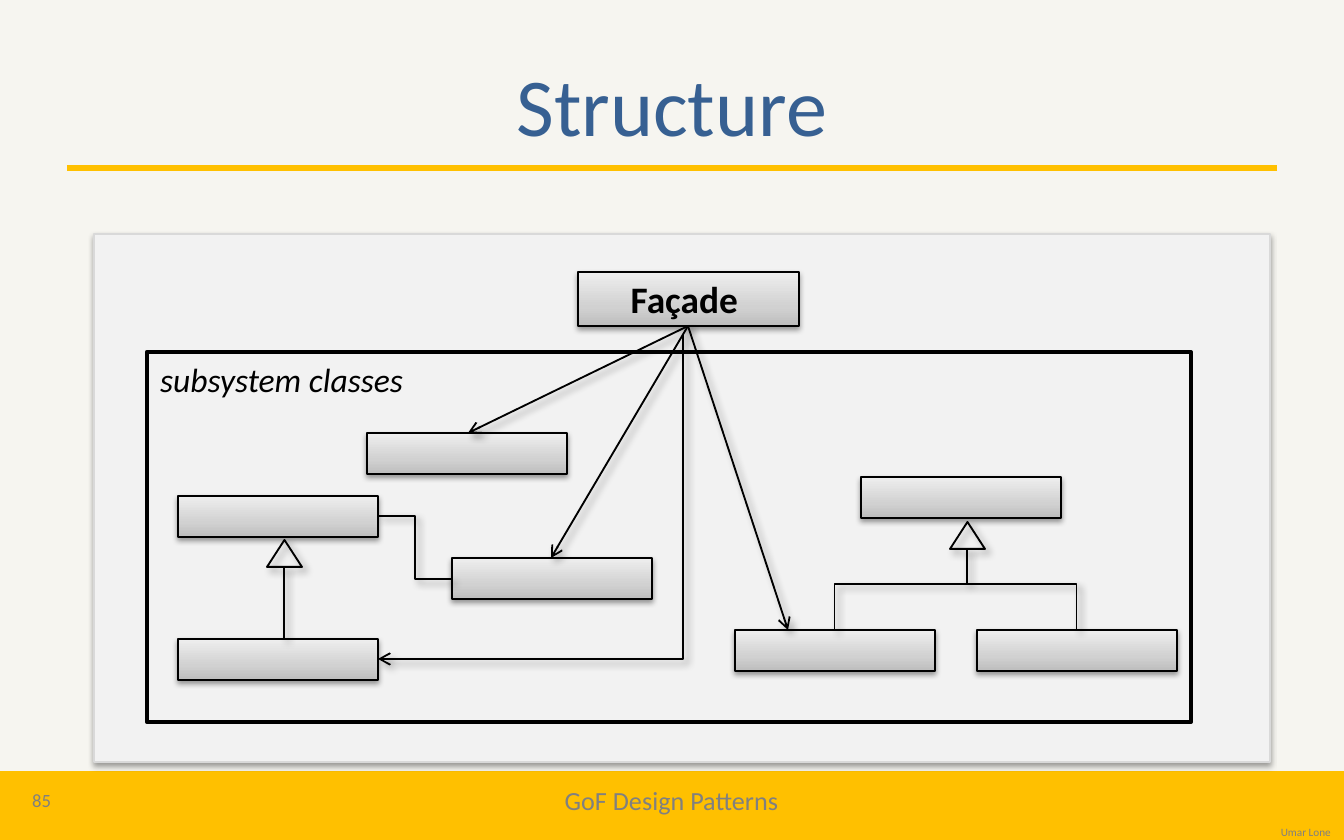
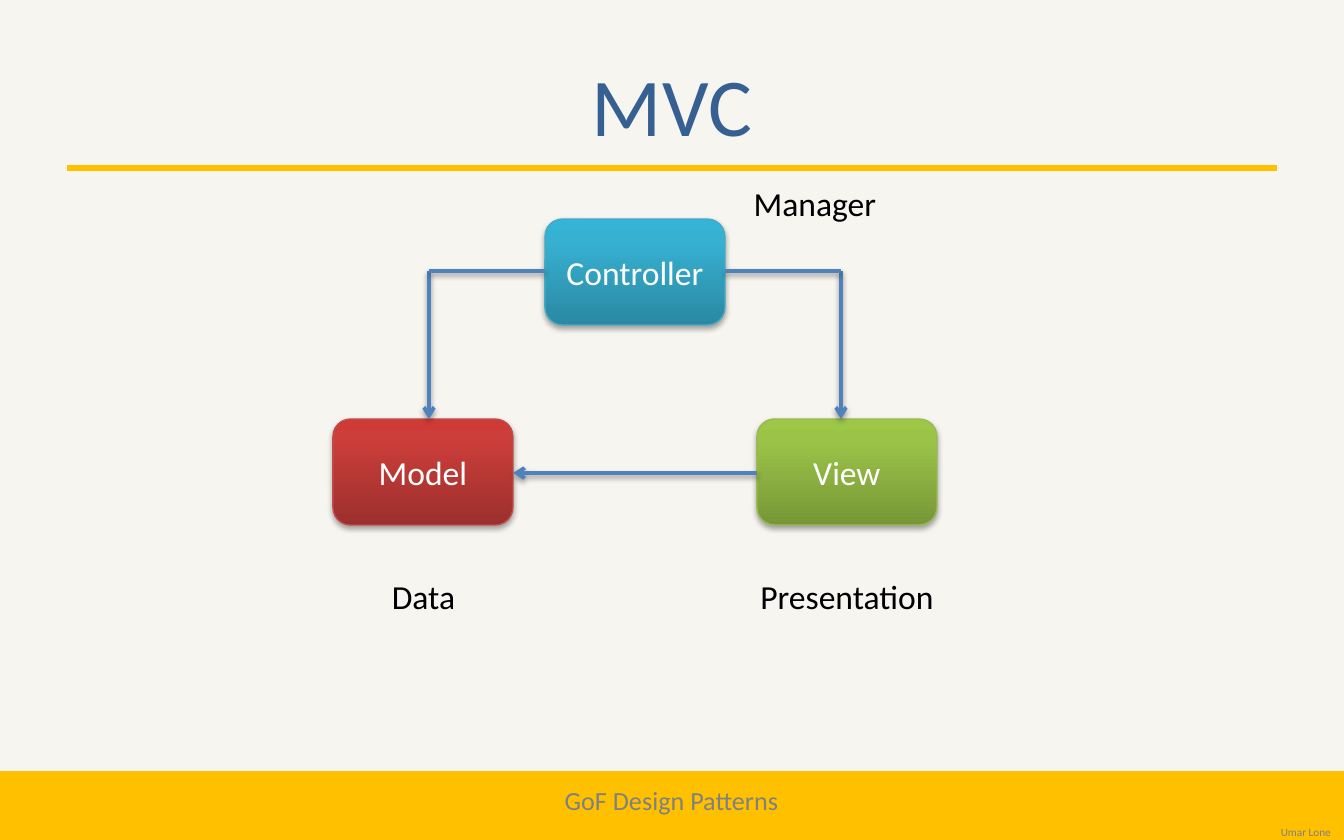
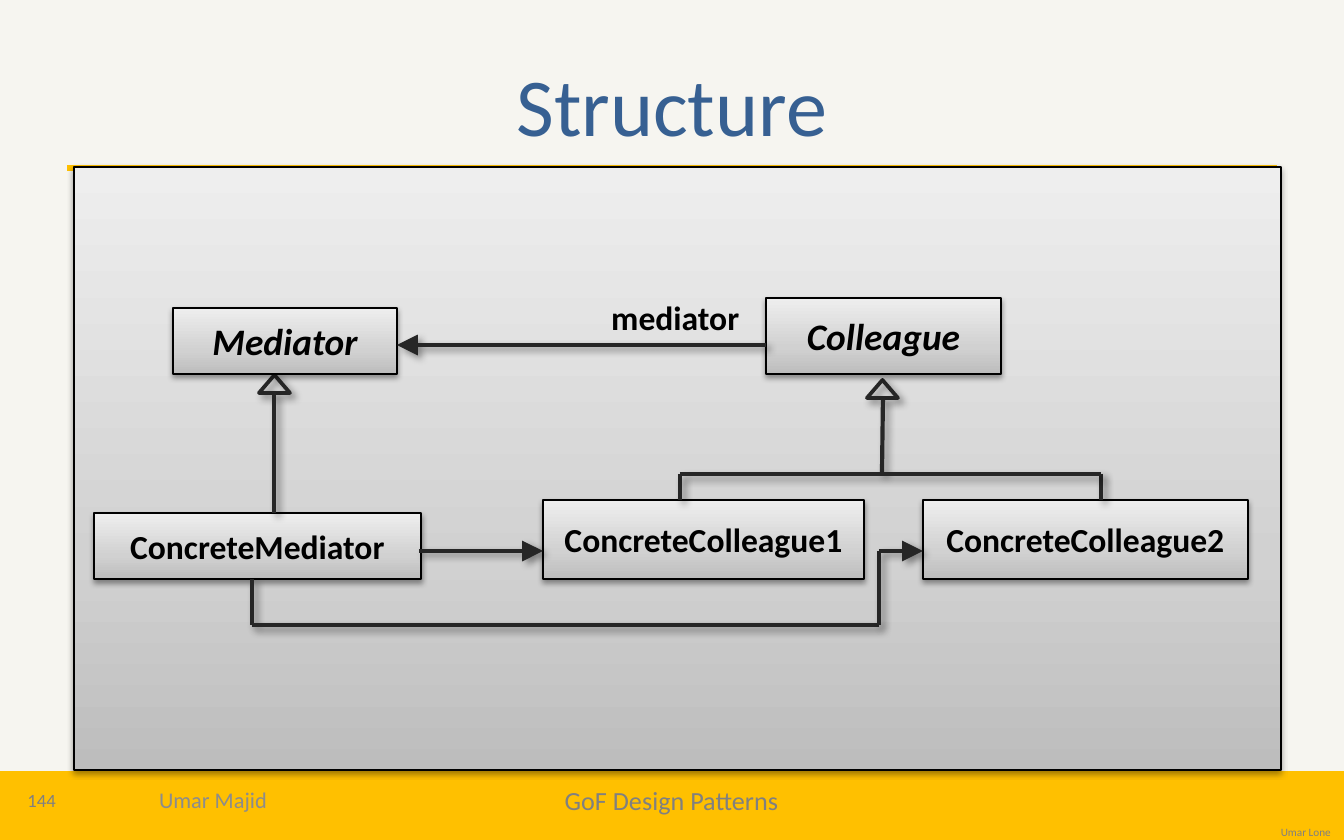
import copy

import lxml.etree
import pptx
import pptx.dml.color
import pptx.enum.shapes
import pptx.enum.text
import pptx.oxml.ns
import pptx.util

RGB = pptx.dml.color.RGBColor
SHAPE = pptx.enum.shapes.MSO_SHAPE
CONNECTOR = pptx.enum.shapes.MSO_CONNECTOR
ANCHOR = pptx.enum.text.MSO_ANCHOR
ALIGN = pptx.enum.text.PP_ALIGN
qn = pptx.oxml.ns.qn

FONT = "Calibri"
CREAM = RGB(0xF6, 0xF5, 0xF0)
AMBER = RGB(0xFF, 0xC0, 0x00)
NAVY = RGB(0x37, 0x60, 0x92)
GRAY = RGB(0x80, 0x80, 0x80)
AUTHOR_GRAY = RGB(0x8C, 0x8C, 0x8C)
BLACK = RGB(0, 0, 0)
CHARCOAL = RGB(0x26, 0x26, 0x26)
WHITE = RGB(0xFF, 0xFF, 0xFF)
PALE = RGB(0xF2, 0xF2, 0xF2)
PALE_EDGE = RGB(0xD9, 0xD9, 0xD9)
ARROW_BLUE = RGB(0x4F, 0x81, 0xBD)
TEAL_EDGE = RGB(0x46, 0xAA, 0xC5)
RED_EDGE = RGB(0xBF, 0x4C, 0x48)
GREEN_EDGE = RGB(0x98, 0xB9, 0x55)

# Gradients, from bottom to top
SILVER = ((0, RGB(0xBD, 0xBD, 0xBD)), (0.35, RGB(0xD1, 0xD1, 0xD1)), (1, RGB(0xEE, 0xEE, 0xEE)))
TEAL = ((0, RGB(0x2A, 0x88, 0xA2)), (0.8, RGB(0x37, 0xB1, 0xD2)), (1, RGB(0x34, 0xB4, 0xD6)))
RED = ((0, RGB(0x9C, 0x2F, 0x2D)), (0.8, RGB(0xCB, 0x3E, 0x3A)), (1, RGB(0xCE, 0x3B, 0x37)))
GREEN = ((0, RGB(0x77, 0x97, 0x37)), (0.8, RGB(0x9B, 0xC3, 0x48)), (1, RGB(0x9D, 0xC7, 0x46)))

# Shadows: opacity %, blur pt, distance pt, angle
DROP = (38, 3.1, 1.6, 90)
BUTTON_DROP = (35, 3.1, 1.8, 90)
SLANTED = (40, 4, 3, 45)

# Arrowheads: type and size
OPEN_HEAD = ("arrow", "med")
SOLID_HEAD = ("triangle", "lg")


def px(length):
    return pptx.util.Emu(round(length * 914400 / 134.4))


def child(parent, tag, **attributes):
    return lxml.etree.SubElement(parent, qn(tag), {k: str(v) for k, v in attributes.items()})


def set_shadow(part, shadow):
    """Replace the theme shadow by the given one, or by none."""
    properties = part.element.spPr
    effects = properties.find(qn("a:effectLst"))
    if effects is None:
        effects = child(properties, "a:effectLst")
    if shadow:
        opacity, blur, distance, angle = shadow
        outer = child(effects, "a:outerShdw", blurRad=pptx.util.Pt(blur),
                      dist=pptx.util.Pt(distance), dir=angle * 60000, rotWithShape=0)
        child(child(outer, "a:srgbClr", val=BLACK), "a:alpha", val=opacity * 1000)


def set_fill(shape, fill):
    if fill is None:
        shape.fill.background()
    elif isinstance(fill, RGB):
        shape.fill.solid()
        shape.fill.fore_color.rgb = fill
    else:
        shape.fill.gradient()
        shape.fill.gradient_angle = 90
        stop_list = shape.element.spPr.find(".//" + qn("a:gsLst"))
        stop_list.append(copy.deepcopy(stop_list[0]))
        for stop, (position, color) in zip(shape.fill.gradient_stops, fill):
            stop.position = position
            stop.color.rgb = color


def set_text(shape, text, size, color=BLACK, bold=False, italic=False,
             align=ALIGN.CENTER, anchor=ANCHOR.MIDDLE):
    frame = shape.text_frame
    frame.word_wrap = True
    frame.vertical_anchor = anchor
    paragraph = frame.paragraphs[0]
    paragraph.text = text
    paragraph.alignment = align
    font = paragraph.font
    font.name, font.size, font.color.rgb = FONT, pptx.util.Pt(size), color
    font.bold, font.italic = bold, italic
    return frame


class Region:
    """Part of a slide; everything in it is placed from its top left corner."""

    def __init__(self, slide, box):
        self.shapes = slide.shapes
        self.left, self.top, self.width, self.height = box

    def place(self, x, y, width, height):
        return px(self.left + x), px(self.top + y), px(width), px(height)

    def block(self, box, fill=SILVER, edge=BLACK, weight=1, shadow=DROP, kind=SHAPE.RECTANGLE):
        shape = self.shapes.add_shape(kind, *self.place(*box))
        shape.shadow.inherit = False
        set_fill(shape, fill)
        shape.line.color.rgb = edge
        shape.line.width = pptx.util.Pt(weight)
        set_shadow(shape, shadow)
        return shape

    def backdrop(self, **style):
        return self.block((0, 0, self.width, self.height), **style)

    def label(self, box, text, size, **style):
        return set_text(self.shapes.add_textbox(*self.place(*box)), text, size, **style)

    def line(self, x1, y1, x2, y2, color=BLACK, weight=1, head=None, shadow=SLANTED,
             kind=CONNECTOR.STRAIGHT):
        line = self.shapes.add_connector(kind, *self.place(x1, y1, 0, 0)[:2],
                                         *self.place(x2, y2, 0, 0)[:2])
        line.line.color.rgb = color
        line.line.width = pptx.util.Pt(weight)
        if head:
            style, size = head
            child(line.element.spPr.find(qn("a:ln")), "a:tailEnd", type=style, w=size, len=size)
        set_shadow(line, shadow)
        return line

    def elbow(self, x, y, width, height, preset="bentConnector3", bend=None, turn=0,
              flip=False, head=None):
        line = self.line(x, y, x + width, y + height, head=head, kind=CONNECTOR.ELBOW)
        frame = line.element.spPr.find(qn("a:xfrm"))
        frame.set("rot", str(turn * 60000))
        if flip:
            frame.set("flipH", "1")
            frame.set("flipV", "1")
        geometry = line.element.spPr.find(qn("a:prstGeom"))
        geometry.set("prst", preset)
        if bend is not None:
            guides = geometry.find(qn("a:avLst"))
            if guides is None:
                guides = child(geometry, "a:avLst")
            child(guides, "a:gd", name="adj1", fmla=f"val {bend * 100000}")


def draw_frame(slide, box):
    """Band, title rule and footers."""
    page = Region(slide, box)
    page.block((0, 773, 1344, 67), fill=AMBER, edge=AMBER, weight=2, shadow=None)
    page.line(67, 168, 1277, 168, color=AMBER, weight=3, shadow=None)
    course = page.label((536, 781, 271, 51), "GoF Design Patterns", 14, color=GRAY)
    course.margin_bottom = px(20)
    page.label((1165, 822, 179, 23), "Umar Lone", 6, color=GRAY,
               align=ALIGN.RIGHT, anchor=ANCHOR.BOTTOM)


def prepare_layout(layout, slide):
    """Move the frame drawn on a slide to the layout all slides use."""
    layout.background.fill.solid()
    layout.background.fill.fore_color.rgb = CREAM
    for placeholder in list(layout.placeholders):
        if placeholder.placeholder_format.idx:
            layout.shapes.element.remove(placeholder.element)
    draw_frame(slide, (0, 0, 1344, 840))
    for shape in list(slide.shapes):
        if not shape.is_placeholder:
            layout.shapes.element.append(shape.element)


def set_title(slide, text):
    title = slide.shapes.title
    title.left, title.top, title.width, title.height = px(67), px(34), px(1210), px(140)
    set_text(title, text, 44, color=NAVY)


def draw_footer(slide, box, number, author=None):
    footer = Region(slide, box)
    footer.label((4, 0, 75, 44), number, 10, color=GRAY)
    if author:
        footer.label((0, 0, 426, 44), author, 12, color=AUTHOR_GRAY)


def draw_facade(slide, box):
    diagram = Region(slide, box)
    diagram.backdrop(fill=PALE, edge=PALE_EDGE, weight=0.75)
    subsystem = diagram.block((53, 118, 1044, 370), fill=None, weight=2.25, shadow=None)
    set_text(subsystem, "subsystem classes", 18, italic=True,
             align=ALIGN.LEFT, anchor=ANCHOR.TOP)
    set_text(diagram.block((484, 38, 221, 54)), "Façade ", 20, bold=True)

    # Classes of the subsystem
    for x, y in ((273, 199), (84, 262), (358, 324), (84, 405), (767, 243), (641, 396), (883, 396)):
        diagram.block((x, y, 200, 41))

    # Façade calls
    for x, y in ((374, 199), (457, 324), (694, 396)):
        diagram.line(594, 92, x, y, head=OPEN_HEAD)
    diagram.elbow(274, 110, 325, 305, preset="bentConnector2", turn=90, head=OPEN_HEAD)

    # Association and inheritance
    diagram.elbow(284, 282, 74, 63)
    for x, y, stem in ((190, 306, 72), (873, 288, 35)):
        diagram.block((x - 17, y, 35, 27), fill=None, shadow=SLANTED,
                      kind=SHAPE.ISOSCELES_TRIANGLE)
        diagram.line(x, y + 27, x, y + 27 + stem)
    diagram.elbow(861, 275, 1, 242, bend=46, turn=90, flip=True)


def draw_mvc(slide, box):
    diagram = Region(slide, box)
    for name, x, y, fill, edge in (("Controller", 212, 43, TEAL, TEAL_EDGE),
                                   ("View", 424, 243, GREEN, GREEN_EDGE),
                                   ("Model", 0, 243, RED, RED_EDGE)):
        role = diagram.block((x, y, 180, 106), fill=fill, edge=edge, weight=0.75,
                             shadow=BUTTON_DROP, kind=SHAPE.ROUNDED_RECTANGLE)
        set_text(role, name, 18, color=WHITE)

    # Controller to View and Model, then View to Model
    for *ends, head in ((508, 95, 508, 243, OPEN_HEAD), (392, 95, 508, 95, None),
                        (96, 95, 96, 243, OPEN_HEAD), (96, 95, 212, 95, None),
                        (424, 297, 180, 297, OPEN_HEAD)):
        diagram.line(*ends, color=ARROW_BLUE, weight=2, head=head, shadow=DROP)

    for duty, x, y, width in (("Data", 22, 393, 137), ("Presentation", 413, 393, 202),
                              ("Manager", 381, 0, 202)):
        diagram.label((x, y, width, 54), duty, 18, anchor=ANCHOR.TOP)


def draw_mediator(slide, box):
    diagram = Region(slide, box)
    diagram.backdrop(weight=0.75)

    # Inheritance heads
    for x, y in ((793, 213), (185, 208)):
        diagram.block((x, y, 31, 18), fill=None, edge=CHARCOAL, weight=2,
                      shadow=SLANTED, kind=SHAPE.ISOSCELES_TRIANGLE)

    # Abstract classes are in italics
    for name, place, abstract in (("Mediator", (99, 141, 224, 66), True),
                                  ("Colleague", (692, 131, 235, 76), True),
                                  ("ConcreteMediator", (20, 346, 327, 66), False),
                                  ("ConcreteColleague1", (469, 333, 321, 79), False),
                                  ("ConcreteColleague2", (849, 333, 325, 79), False)):
        set_text(diagram.block(place, weight=0.75), name, 20 if abstract else 18,
                 bold=True, italic=abstract)

    # Inheritance lines and the path to ConcreteColleague2
    for ends in ((809, 231, 808, 307), (606, 307, 606, 333), (1027, 307, 1027, 333),
                 (606, 307, 1027, 307), (200, 225, 200, 346),
                 (178, 412, 178, 458), (805, 458, 178, 458), (805, 384, 805, 458)):
        diagram.line(*ends, color=CHARCOAL, weight=2.25)

    # References
    for ends in ((345, 384, 469, 384), (805, 384, 849, 384), (692, 178, 323, 178)):
        diagram.line(*ends, color=CHARCOAL, weight=2.25, head=SOLID_HEAD)
    diagram.label((524, 123, 179, 54), "mediator", 18, bold=True,
                  align=ALIGN.LEFT, anchor=ANCHOR.TOP)


def main():
    deck = pptx.Presentation()
    deck.slide_width, deck.slide_height = px(1344), px(840)
    title_only = deck.slide_layouts[5]
    facade, mvc, mediator = (deck.slides.add_slide(title_only) for _ in range(3))
    prepare_layout(title_only, facade)

    set_title(facade, "Structure")
    draw_facade(facade, (94, 234, 1176, 528))
    draw_footer(facade, (0, 778, 426, 44), "85")

    set_title(mvc, "MVC")
    draw_mvc(mvc, (333, 176, 615, 447))

    set_title(mediator, "Structure")
    draw_footer(mediator, (0, 778, 426, 44), "144", author="Umar Majid")
    draw_mediator(mediator, (74, 167, 1207, 603))

    deck.save("out.pptx")


if __name__ == "__main__":
    main()
